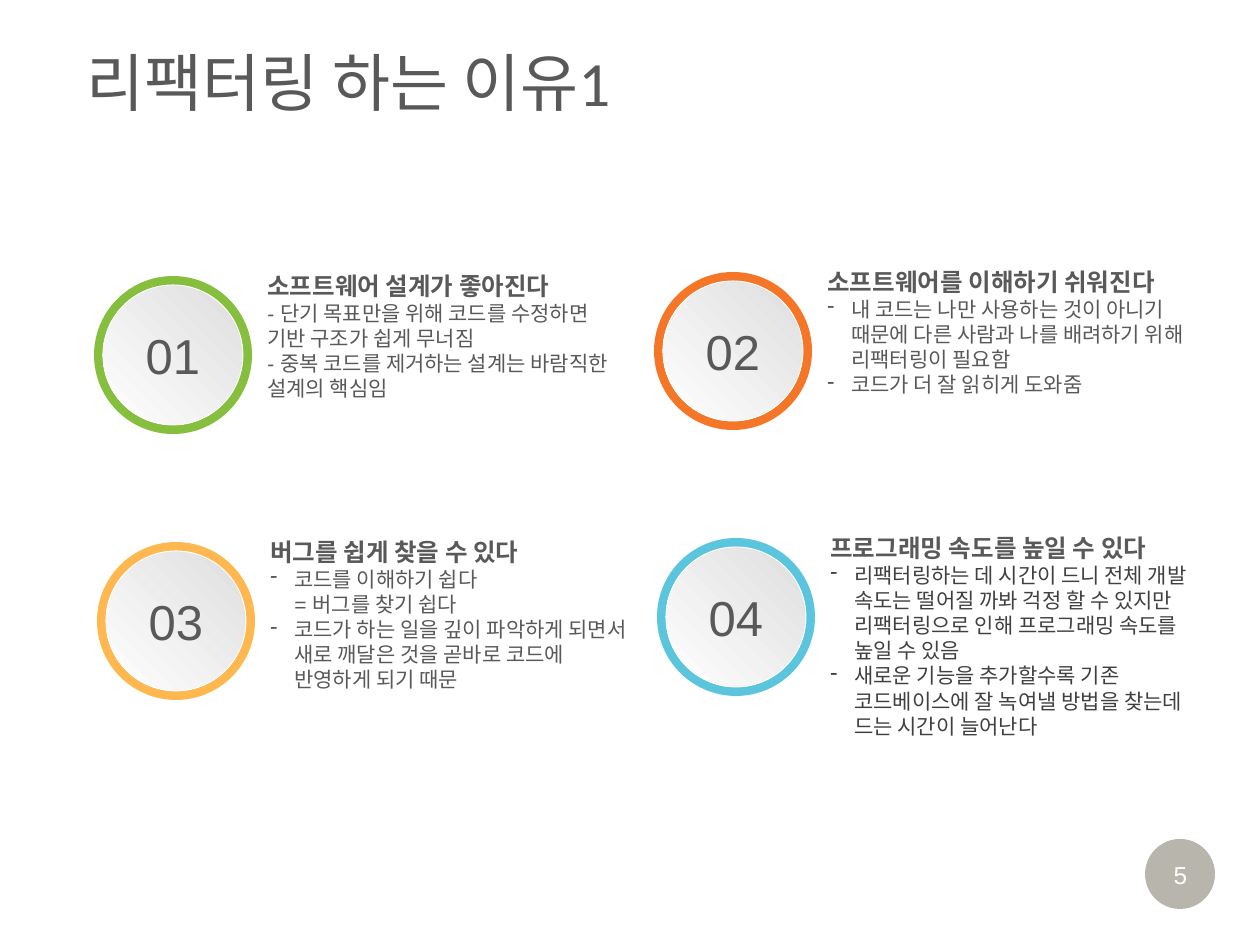
from dataclasses import dataclass
from typing import Any, NamedTuple

from pptx import Presentation
from pptx.dml.color import RGBColor
from pptx.enum.shapes import MSO_SHAPE
from pptx.enum.text import MSO_ANCHOR, MSO_AUTO_SIZE, PP_ALIGN
from pptx.oxml.ns import qn
from pptx.util import Emu, Pt

SCALE = 914400 / 126
GREY = "595959"
DARK = "404040"
WHITE = "FFFFFF"
RING, RIM, DISC = 158, 9, 140
TEXT_DX, TEXT_W = 161, 387
HEAD_DY, HEAD_H, BODY_DY = -11, 43, 18
INDENT = 24


class Line(NamedTuple):
    text: str
    bullet: bool = False
    margin: int = 0


def dash(text: str) -> Line:
    return Line(text, True, INDENT)


@dataclass
class Reason:
    heading: str
    color: str
    body_h: int
    lines: list[Line]
    body_color: str = GREY


REASONS = [
    Reason("소프트웨어 설계가 좋아진다", "86BF3E", 115, [
        Line("- 단기 목표만을 위해 코드를 수정하면 기반 구조가 쉽게 무너짐"),
        Line("- 중복 코드를 제거하는 설계는 바람직한 설계의 핵심임"),
    ]),
    Reason("소프트웨어를 이해하기 쉬워진다", "F57627", 115, [
        dash("내 코드는 나만 사용하는 것이 아니기 때문에 다른 사람과 나를 배려하기 위해 리팩터링이 필요함"),
        dash("코드가 더 잘 읽히게 도와줌"),
    ]),
    Reason("버그를 쉽게 찾을 수 있다", "FFB850", 140, [
        dash("코드를 이해하기 쉽다"),
        Line("= 버그를 찾기 쉽다", margin=INDENT),
        dash("코드가 하는 일을 깊이 파악하게 되면서 새로 깨달은 것을 곧바로 코드에 반영하게 되기 때문"),
    ]),
    Reason("프로그래밍 속도를 높일 수 있다", "5BC5DD", 190, [
        dash("리팩터링하는 데 시간이 드니 전체 개발 속도는 떨어질 까봐 걱정 할 수 있지만 "
             "리팩터링으로 인해 프로그래밍 속도를 높일 수 있음"),
        dash("새로운 기능을 추가할수록 기존 코드베이스에 잘 녹여낼 방법을 찾는데 드는 시간이 늘어난다"),
    ], DARK),
]


def px(n: int) -> Emu:
    return Emu(round(n * SCALE))


def rgb(value: str) -> RGBColor:
    return RGBColor.from_string(value)


def apply(target: Any, values: dict[str, Any]) -> None:
    for name, value in values.items():
        setattr(target, name, value)


def write(tf: Any, lines: list[Line], font: str, size: int, color: str,
          bold: bool = False, align: PP_ALIGN = PP_ALIGN.LEFT) -> None:
    for i, line in enumerate(lines):
        p = tf.paragraphs[0] if i == 0 else tf.add_paragraph()
        p.alignment = align
        pPr = p._p.get_or_add_pPr()
        if line.margin:
            pPr.set("marL", str(px(line.margin)))
        if line.bullet:
            pPr.set("indent", str(px(-line.margin)))
            bu = pPr.makeelement(qn("a:buChar"), {"char": "-"})
            pPr.append(bu)
        r = p.add_run()
        r.text = line.text
        apply(r.font, {"name": font, "size": Pt(size), "bold": bold})
        r.font.color.rgb = rgb(color)


def add_text(shapes: Any, x: int, y: int, w: int, h: int, lines: list[Line],
             font: str, size: int, color: str, bold: bool = False,
             align: PP_ALIGN = PP_ALIGN.LEFT, **frame: Any) -> None:
    tf = shapes.add_textbox(px(x), px(y), px(w), px(h)).text_frame
    apply(tf, {"word_wrap": True, "auto_size": MSO_AUTO_SIZE.SHAPE_TO_FIT_TEXT} | frame)
    write(tf, lines, font, size, color, bold, align)


def add_circle(shapes: Any, x: int, y: int, size: int, color: str) -> Any:
    sp = shapes.add_shape(MSO_SHAPE.OVAL, px(x), px(y), px(size), px(size))
    sp.shadow.inherit = False
    sp.fill.solid()
    sp.fill.fore_color.rgb = rgb(color)
    sp.line.fill.background()
    return sp


def add_badge(shapes: Any, x: int, y: int, number: int, color: str) -> None:
    group = shapes.add_group_shape().shapes
    add_circle(group, x, y, RING, color)
    disc = add_circle(group, x + RIM, y + RIM, DISC, WHITE)
    disc.fill.gradient()
    disc.fill.gradient_angle = 225
    for stop, shade in zip(disc.fill.gradient_stops, ("DEDEDE", WHITE)):
        stop.color.rgb = rgb(shade)
    disc.line.color.rgb = rgb(WHITE)
    disc.line.width = Pt(0.5)
    disc.text_frame.vertical_anchor = MSO_ANCHOR.MIDDLE
    write(disc.text_frame, [Line(f"{number:02}")], "Arial", 28, GREY, align=PP_ALIGN.CENTER)


def add_reason(shapes: Any, index: int, reason: Reason) -> None:
    row, col = divmod(index, 2)
    x = 94 + 560 * col + 3 * row
    y = 276 - 4 * col + 266 * row
    add_badge(shapes, x, y, index + 1, reason.color)
    add_text(shapes, x + TEXT_DX, y + HEAD_DY, TEXT_W, HEAD_H,
             [Line(reason.heading)], "Calibri", 14, GREY, True)
    add_text(shapes, x + TEXT_DX, y + BODY_DY, TEXT_W, reason.body_h,
             reason.lines, "Arial", 12, reason.body_color)


def add_page_number(shapes: Any, number: int) -> None:
    sp = add_circle(shapes, 1145, 839, 70, "4A452A")
    clr = sp.fill._xPr.find(qn("a:solidFill"))[0]
    clr.append(clr.makeelement(qn("a:alpha"), {"val": "39000"}))
    add_text(shapes, 1153, 854, 55, 43, [Line(str(number))], "Arial", 14, WHITE,
             align=PP_ALIGN.CENTER, word_wrap=False)


def main() -> None:
    prs = Presentation()
    apply(prs, {"slide_width": px(1260), "slide_height": px(945)})
    s = prs.slides.add_slide(prs.slide_layouts[6])
    add_page_number(s.shapes, 5)
    add_text(s.shapes, 74, 37, 1186, 89, [Line("리팩터링 하는 이유1")], "Calibri", 36, GREY,
             auto_size=MSO_AUTO_SIZE.NONE, vertical_anchor=MSO_ANCHOR.MIDDLE)
    for i, reason in enumerate(REASONS):
        add_reason(s.shapes, i, reason)
    prs.save("out.pptx")


if __name__ == "__main__":
    main()
